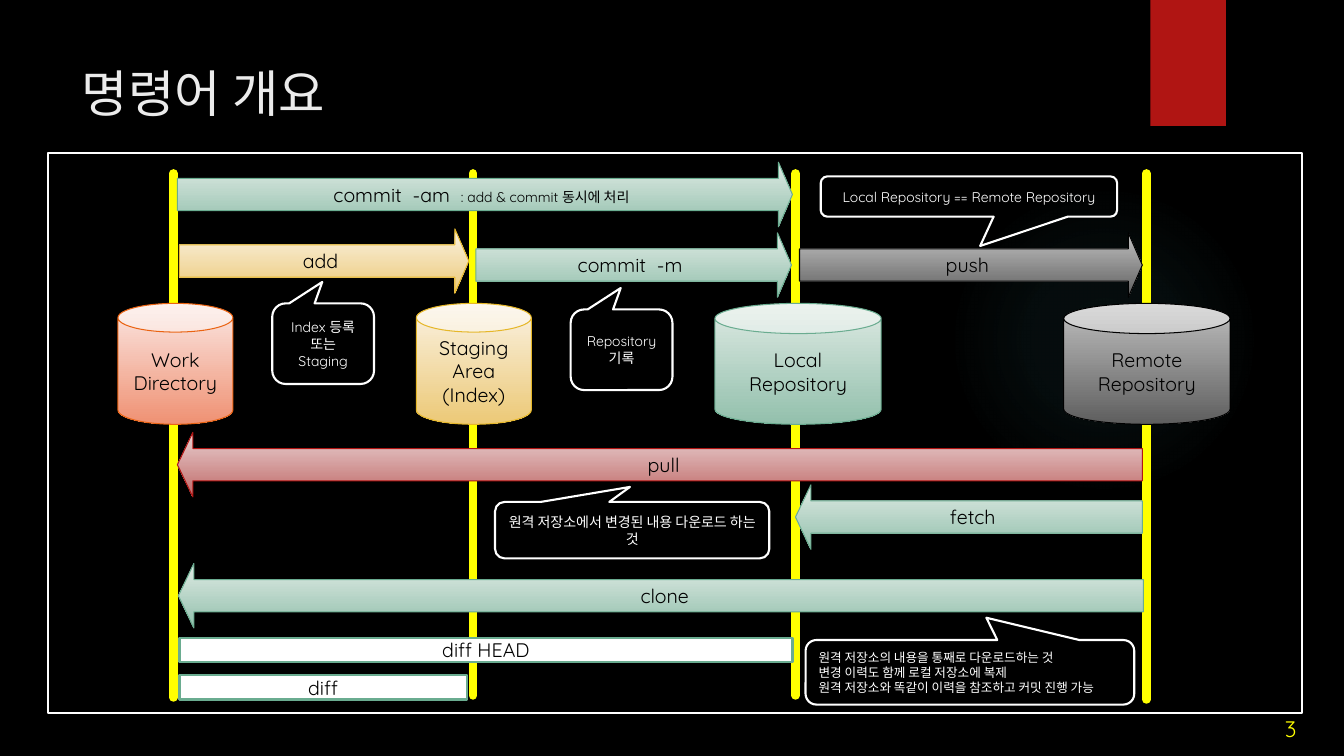
"""Build the slide that maps version control commands to the four storage areas."""
from pptx import Presentation
from pptx import util as u
from pptx.dml.color import RGBColor
from pptx.enum import shapes, text
from pptx.oxml import parse_xml
from pptx.oxml.ns import nsdecls, qn

PX = 9144
KIND = shapes.MSO_SHAPE
CENTER, LEFT = text.PP_ALIGN.CENTER, text.PP_ALIGN.LEFT
THEME = {
    "font": "Quicksand",
    "title": 36, "number": 16, "label": 14, "note": 10, "detail": 9,
    "black": "000000", "white": "FFFFFF", "yellow": "FFFF00",
    "heading": "EBEBEB", "ribbon": "B01513", "glow": "50B9C1",
    "orange": ("FBE8E4", "EF9173", "EA6312"),
    "gold": ("FAF2E3", "ECC977", "E6B729"),
    "green": ("DEEAE4", "93C0AC", "6AAC90"),
    "gray": ("C1C1C1", "5E5E5E", "000000"),
    "red": ("E8D1D0", "C06969", "B01513"),
}


def write(shape, lines, size, color, align=CENTER, anchor=text.MSO_ANCHOR.MIDDLE):
    """Fill a shape with formatted paragraphs."""
    frame = shape.text_frame
    frame.text = "\n".join(lines)
    frame.word_wrap = True
    frame.vertical_anchor = anchor
    for para in frame.paragraphs:
        para.alignment = align
        for span in para.runs:
            span.font.name = THEME["font"]
            span.font.size = u.Pt(THEME[size])
            span.font.color.rgb = RGBColor.from_string(THEME[color])


def draw(kind, box, fill=None, line=None, weight=1.5, adjust=()):
    """Add a shape with an optional solid or gradient fill."""
    shape = page.shapes.add_shape(kind, *(n * PX for n in box))
    shape.shadow.inherit = False
    for index, value in enumerate(adjust):
        shape.adjustments[index] = value
    if fill is None:
        shape.fill.background()
    elif isinstance(fill, tuple):
        shape.fill.gradient()
        shape.fill.gradient_angle = 270
        for stop, color, position in zip(shape.fill.gradient_stops, fill, (0, 1)):
            stop.color.rgb = RGBColor.from_string(color)
            stop.position = position
    else:
        shape.fill.solid()
        shape.fill.fore_color.rgb = RGBColor.from_string(fill)
    if line:
        shape.line.color.rgb = RGBColor.from_string(line)
        shape.line.width = u.Pt(weight)
    else:
        shape.line.fill.background()
    return shape


deck = Presentation()
deck.slide_width, deck.slide_height = 1333 * PX, 750 * PX
page = deck.slides.add_slide(deck.slide_layouts[5])
page.background.fill.solid()
page.background.fill.fore_color.rgb = RGBColor.from_string(THEME["black"])

title = page.shapes.title
title.left, title.top, title.width, title.height = (n * PX for n in (71, 43, 1029, 98))
write(title, ["명령어 개요"], "title", "heading", LEFT)

glow = draw(KIND.OVAL, (941, 183, 308, 308))
stops = "".join(
    f'<a:gs pos="{position}000"><a:srgbClr val="{THEME["glow"]}">'
    f'<a:alpha val="{alpha}000"/></a:srgbClr></a:gs>'
    for position, alpha in ((0, 7), (36, 6), (69, 0)))
no_fill = glow._element.spPr.find(qn("a:noFill"))
no_fill.addprevious(parse_xml(
    f'<a:gradFill {nsdecls("a")}><a:gsLst>{stops}</a:gsLst><a:path path="circle">'
    '<a:fillToRect l="50000" t="50000" r="50000" b="50000"/></a:path></a:gradFill>'))
glow._element.spPr.remove(no_fill)
draw(KIND.RECTANGLE, (1141, 0, 75, 125), THEME["ribbon"])

for x, bottom in ((469, 690), (789, 690), (1137, 694), (172, 692)):
    lifeline = page.shapes.add_connector(
        shapes.MSO_CONNECTOR.STRAIGHT, x * PX, 172 * PX, x * PX, bottom * PX)
    lifeline.line.color.rgb = RGBColor.from_string(THEME["yellow"])
    lifeline.line.width = u.Pt(6)
    lifeline.line._ln.set("cap", "rnd")
    lifeline._element.spPr.append(parse_xml(f'<a:effectLst {nsdecls("a")}/>'))

stores = [
    (117, 114, "orange", ["Work", "Directory"]),
    (413, 114, "gold", ["Staging Area", "(Index)"]),
    (709, 165, "green", ["Local", "Repository"]),
    (1055, 165, "gray", ["Remote", "Repository"]),
]
for left, width, tone, lines in stores:
    *fill, line = THEME[tone]
    store = draw(KIND.CAN, (left, 301, width, 120), tuple(fill), line, 0.75)
    write(store, lines, "label", "black")

draw(KIND.RECTANGLE, (48, 152, 1243, 555), line=THEME["white"])

RIGHT_HEAD, LEFT_HEAD = (KIND.RIGHT_ARROW, 0.217), (KIND.LEFT_ARROW, 0.239)
commands = [
    (RIGHT_HEAD, 176, 161, 610, "green", "commit  -am  ", ": add & commit 동시에 처리"),
    (RIGHT_HEAD, 178, 227, 287, "gold", "add", ""),
    (RIGHT_HEAD, 472, 231, 313, "green", "commit  -m", ""),
    (RIGHT_HEAD, 793, 231, 340, "gray", "push", ""),
    (LEFT_HEAD, 176, 429, 957, "red", "pull", ""),
    (LEFT_HEAD, 789, 481, 344, "green", "fetch", ""),
    (LEFT_HEAD, 177, 559, 957, "green", "clone", ""),
]
for (kind, head), left, top, width, tone, name, remark in commands:
    *fill, line = THEME[tone]
    arrow = draw(kind, (left, top, width, 64), tuple(fill), line, 0.75, (0.5, head))
    para = arrow.text_frame.paragraphs[0]
    para.text = name
    write(arrow, [name], "label", "black")
    if remark:
        span = arrow.text_frame.paragraphs[0].add_run()
        span.text = remark
        span.font.name = THEME["font"]
        span.font.size = u.Pt(THEME["note"])
        span.font.color.rgb = RGBColor.from_string(THEME["black"])

for top, width, name in ((633, 608, "diff HEAD"), (670, 285, "diff")):
    bar = draw(KIND.FLOWCHART_PROCESS, (178, top, width, 24),
               THEME["white"], THEME["green"][2])
    write(bar, [name], "label", "black")

UP = (-0.008, -0.766)
callouts = [
    ((270, 301, 101, 80), UP, "note", CENTER, ["Index 등록", "또는", "Staging"]),
    ((814, 175, 294, 40), (0.038, 1.227), "note", CENTER,
     ["Local Repository == Remote Repository"]),
    ((799, 635, 326, 64), (0.05, -0.846), "detail", LEFT,
     ["원격 저장소의 내용을 통째로 다운로드하는 것",
      "변경 이력도 함께 로컬 저장소에 복제",
      "원격 저장소와 똑같이 이력을 참조하고 커밋 진행 가능"]),
    ((566, 307, 101, 80), UP, "note", CENTER, ["Repository기록"]),
    ((491, 498, 272, 56), UP, "note", CENTER,
     ["원격 저장소에서 변경된 내용 다운로드 하는 것"]),
]
for box, tip, size, align, lines in callouts:
    callout = draw(KIND.ROUNDED_RECTANGULAR_CALLOUT, box, line=THEME["white"],
                   adjust=(*tip, 0.167))
    write(callout, lines, size, "white", align)

number = page.shapes.add_textbox(*(n * PX for n in (1234, 657, 92, 84)))
write(number, ["3"], "number", "yellow", anchor=text.MSO_ANCHOR.BOTTOM)

deck.save("out.pptx")
